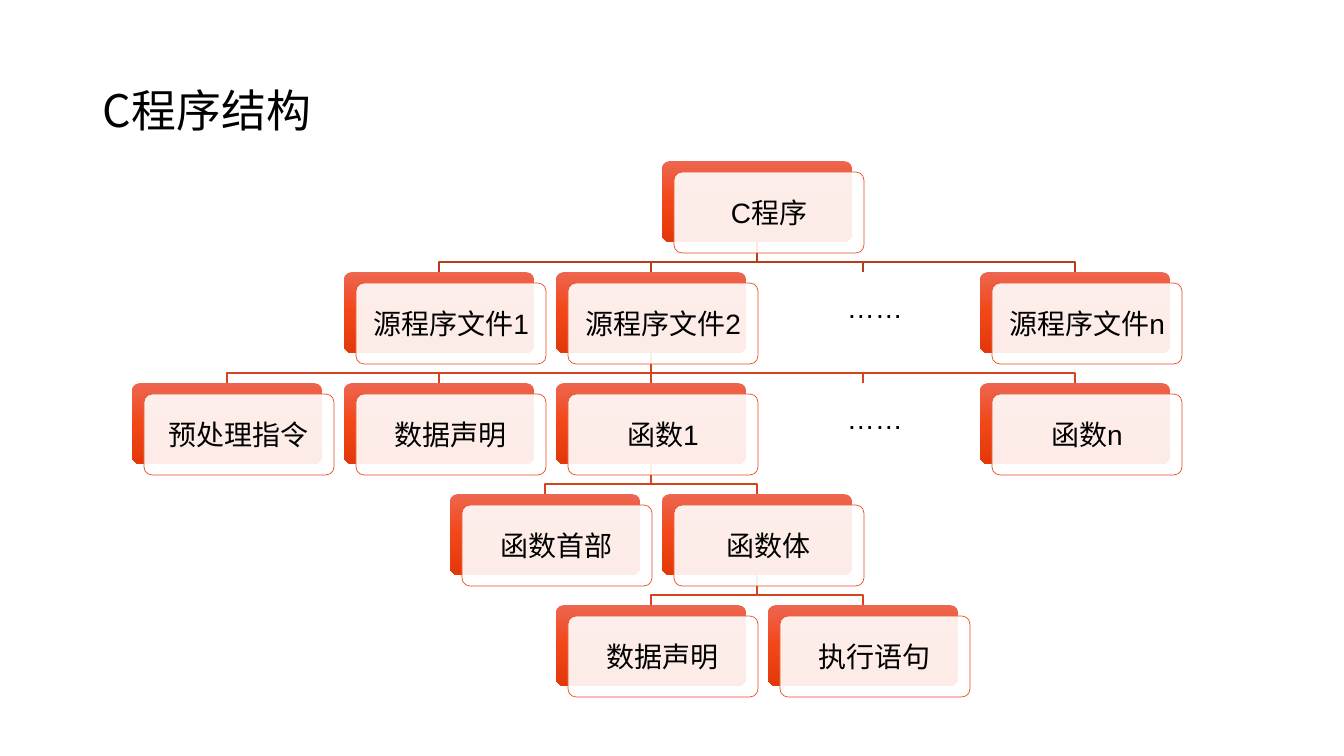
from copy import deepcopy

from lxml import etree
from pptx import Presentation
from pptx import util as u
from pptx.dml.color import RGBColor
from pptx.enum import shapes, text
from pptx.oxml.ns import qn

TITLE = "C程序结构"
ELLIPSIS = "……"
# Each level: column of the parent, connector colour, (column, label) of the cards.
LEVELS = [
    (None, None, [(5, "C程序")]),
    (5, "BA3D1B", [(2, "源程序文件1"), (4, "源程序文件2"), (6, ELLIPSIS), (8, "源程序文件n")]),
    (4, "D3451F", [(0, "预处理指令"), (2, "数据声明"), (4, "函数1"), (6, ELLIPSIS), (8, "函数n")]),
    (4, "D3451F", [(3, "函数首部"), (5, "函数体")]),
    (5, "D3451F", [(4, "数据声明"), (6, "执行语句")]),
]
GRADIENT = [(0, "ED6650"), (0.5, "F24618"), (1, "E2380A")]
WHITE, BLACK, CARD_LINE = "FFFFFF", "000000", "E84C22"
LATIN, CHINESE = "Arial", "Noto Sans CJK SC"

PX = 914400 / 100.8
FIRST_CENTRE, COLUMN_STEP = 227, 106
FIRST_TOP, ROW_STEP = 161, 111
CARD_WIDTH, CARD_HEIGHT, ELLIPSIS_HEIGHT = 190, 81, 49
FRONT_DX, FRONT_DY = 12, 11
JUNCTION = 20
CORNER = 8


def px(length):
    return u.Emu(round(length * PX))


def colour(hex_string):
    return RGBColor.from_string(hex_string)


def centre(column):
    return FIRST_CENTRE + column * COLUMN_STEP


def top(row):
    return FIRST_TOP + row * ROW_STEP


def write(shape, content, size, latin, alignment, inset):
    frame = shape.text_frame
    frame.word_wrap = True
    frame.vertical_anchor = text.MSO_ANCHOR.MIDDLE
    frame.margin_left = frame.margin_right = px(inset)
    frame.margin_top = frame.margin_bottom = px(inset)
    frame.text = content
    paragraph = frame.paragraphs[0]
    paragraph.alignment = alignment
    run = paragraph.runs[0]
    run.font.size = u.Pt(size)
    run.font.name = latin
    run.font.color.rgb = colour(BLACK)
    east_asian = etree.SubElement(run.font._element, qn("a:ea"))
    east_asian.set("typeface", CHINESE)
    return paragraph


def add_link(slide, parent_column, column, row, line_colour):
    """Draw the elbow from a parent card down to one card of the given row."""
    start, end = centre(parent_column), centre(column)
    bottom = top(row)
    begin = top(row - 1) + CARD_HEIGHT
    if start == end:
        link = slide.shapes.add_connector(
            shapes.MSO_CONNECTOR.STRAIGHT, px(start), px(begin), px(end), px(bottom))
        etree.SubElement(link._element.spPr, qn("a:effectLst"))
    else:
        bend = begin + JUNCTION
        builder = slide.shapes.build_freeform(start, begin, scale=PX)
        builder.add_line_segments([(start, bend), (end, bend), (end, bottom)], close=False)
        link = builder.convert_to_shape()
        link.fill.background()
        link.shadow.inherit = False
    link.line.color.rgb = colour(line_colour)
    link.line.width = u.Pt(1)


def add_rounded(slide, left, y, height):
    shape = slide.shapes.add_shape(
        shapes.MSO_SHAPE.ROUNDED_RECTANGLE, px(left), px(y), px(CARD_WIDTH), px(height))
    shape.adjustments[0] = 0.1
    shape.shadow.inherit = False
    shape.line.fill.background()
    return shape


def fill_gradient(shape):
    shape.fill.gradient()
    shape.fill.gradient_angle = 270
    stop_list = shape._element.spPr.find(".//" + qn("a:gsLst"))
    stop_list.insert(1, deepcopy(stop_list[0]))
    for stop, (position, hex_string) in zip(shape.fill.gradient_stops, GRADIENT):
        stop.position = position
        stop.color.rgb = colour(hex_string)


def add_card(slide, column, row, label):
    left, y = centre(column) - CARD_WIDTH // 2, top(row)
    is_ellipsis = label == ELLIPSIS
    height = ELLIPSIS_HEIGHT if is_ellipsis else CARD_HEIGHT
    if not is_ellipsis:
        fill_gradient(add_rounded(slide, left, y, height))
    front = add_rounded(slide, left + FRONT_DX, y + FRONT_DY, height)
    front.fill.solid()
    front.fill.fore_color.rgb = colour(WHITE)
    fill_colour = front._element.spPr.find(qn("a:solidFill"))[0]
    etree.SubElement(fill_colour, qn("a:alpha")).set("val", "90000")
    if not is_ellipsis:
        front.line.color.rgb = colour(CARD_LINE)
        front.line.width = u.Pt(0.5)
    write(front, label, 20, LATIN, text.PP_ALIGN.CENTER, CORNER)


def main():
    presentation = Presentation()
    presentation.slide_width, presentation.slide_height = px(1344), px(756)
    slide = presentation.slides.add_slide(presentation.slide_layouts[6])

    title = slide.shapes.add_textbox(px(93), px(40), px(1159), px(146))
    write(title, TITLE, 32, CHINESE, text.PP_ALIGN.LEFT, 10).line_spacing = 0.9

    for row, (parent_column, line_colour, cards) in enumerate(LEVELS):
        if parent_column is not None:
            for column, _ in cards:
                add_link(slide, parent_column, column, row, line_colour)
    for row, (_, _, cards) in enumerate(LEVELS):
        for column, label in cards:
            add_card(slide, column, row, label)
    presentation.save("out.pptx")


if __name__ == "__main__":
    main()
